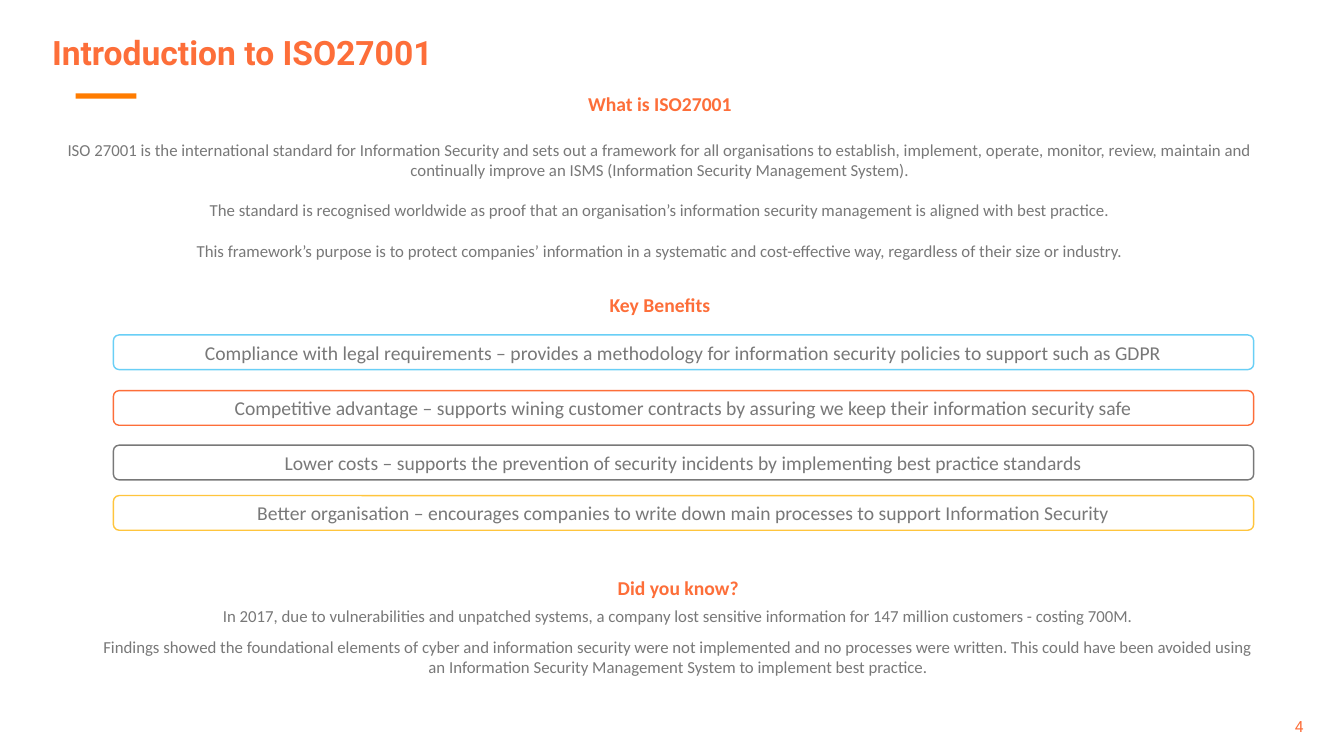
import dataclasses

import pptx
import pptx.dml.color
import pptx.enum.shapes
import pptx.enum.text
import pptx.util

PX = 9525  # EMU in one px, 96 px to the inch
ALIGN = pptx.enum.text.PP_ALIGN
ANCHOR = pptx.enum.text.MSO_ANCHOR
SHAPE = pptx.enum.shapes.MSO_SHAPE


@dataclasses.dataclass(frozen=True)
class Theme:
    orange: str = "FD6E39"
    accent: str = "FF7C00"
    grey: str = "787878"
    blue: str = "69CFF6"
    yellow: str = "FFC53D"
    white: str = "FFFFFF"
    title_font: str = "Roboto"
    body_font: str = "Calibri"
    title_size: int = 24
    heading_size: int = 14
    body_size: int = 12
    number_size: int = 11


def color(code):
    return pptx.dml.color.RGBColor.from_string(code)


def emu(*lengths):
    return [length * PX for length in lengths]


class SlideBuilder:
    def __init__(self, presentation, theme):
        self.theme = theme
        self.slide = presentation.slides.add_slide(presentation.slide_layouts[5])

    def add_text(self, paragraph, text, size, code, font=None, bold=False, align=ALIGN.CENTER):
        paragraph.alignment = align
        run = paragraph.add_run()
        run.text = text
        run.font.name = font or self.theme.body_font
        run.font.size = pptx.util.Pt(size)
        run.font.bold = bold
        run.font.color.rgb = color(code)

    def title(self, text, *box):
        shape = self.slide.shapes.title
        shape.left, shape.top, shape.width, shape.height = emu(*box)
        frame = shape.text_frame
        frame.auto_size = pptx.enum.text.MSO_AUTO_SIZE.NONE
        frame.vertical_anchor = ANCHOR.BOTTOM
        paragraph = frame.paragraphs[0]
        paragraph.line_spacing = 0.9
        self.add_text(paragraph, text, self.theme.title_size, self.theme.orange,
                      self.theme.title_font, True, ALIGN.LEFT)

    def text_box(self, *box):
        frame = self.slide.shapes.add_textbox(*emu(*box)).text_frame
        frame.word_wrap = True
        return frame

    def section(self, heading, body, box, gaps=(), after=0):
        """Add a centred heading and body paragraphs, with the gap in points before each."""
        frame = self.text_box(*box)
        self.add_text(frame.paragraphs[0], heading, self.theme.heading_size,
                      self.theme.orange, bold=True)
        for text, gap in zip(body, gaps):
            paragraph = frame.add_paragraph()
            paragraph.space_before = pptx.util.Pt(gap)
            paragraph.space_after = pptx.util.Pt(after)
            self.add_text(paragraph, text, self.theme.body_size, self.theme.grey)

    def shape(self, kind, fill, *box):
        shape = self.slide.shapes.add_shape(kind, *emu(*box))
        shape.shadow.inherit = False
        shape.fill.solid()
        shape.fill.fore_color.rgb = color(fill)
        shape.line.fill.background()
        return shape

    def benefit(self, text, outline, *box):
        shape = self.shape(SHAPE.ROUNDED_RECTANGLE, self.theme.white, *box)
        shape.line.color.rgb = color(outline)
        shape.line.width = pptx.util.Pt(1)
        frame = shape.text_frame
        frame.word_wrap = True
        frame.vertical_anchor = ANCHOR.MIDDLE
        self.add_text(frame.paragraphs[0], text, self.theme.heading_size, self.theme.grey)

    def page_number(self, text, *box):
        frame = self.text_box(*box)
        frame.vertical_anchor = ANCHOR.MIDDLE
        self.add_text(frame.paragraphs[0], text, self.theme.number_size,
                      self.theme.orange, self.theme.title_font, align=ALIGN.RIGHT)


def main():
    presentation = pptx.Presentation()
    presentation.slide_width, presentation.slide_height = emu(1280, 720)
    theme = Theme()
    builder = SlideBuilder(presentation, theme)

    builder.shape(SHAPE.RECTANGLE, theme.accent, 72, 89, 58, 5)
    builder.title("Introduction to ISO27001", 40, 26, 762, 48)
    builder.page_number("4", 1170, 673, 81, 38)

    builder.section("What is ISO27001", [
        "ISO 27001 is the international standard for Information Security and sets out "
        "a framework for all organisations to establish, implement, operate, monitor, "
        "review, maintain and continually improve an ISMS (Information Security "
        "Management System).",
        "The standard is recognised worldwide as proof that an organisation’s "
        "information security management is aligned with best practice.",
        "This framework’s purpose is to protect companies’ information in a systematic "
        "and cost-effective way, regardless of their size or industry.",
    ], (23, 83, 1211, 175), gaps=(17, 14.6, 14.6))

    builder.section("Key Benefits", [], (23, 274, 1211, 59))
    benefits = [
        (319, theme.blue, "Compliance with legal requirements – provides a methodology "
         "for information security policies to support such as GDPR"),
        (372, theme.orange, "Competitive advantage – supports wining customer contracts "
         "by assuring we keep their information security safe"),
        (424, theme.grey, "Lower costs – supports the prevention of security incidents "
         "by implementing best practice standards"),
        (472, theme.yellow, "Better organisation – encourages companies to write down "
         "main processes to support Information Security"),
    ]
    for top, outline, text in benefits:
        builder.benefit(text, outline, 108, top, 1086, 33)

    builder.section("Did you know?", [
        "In 2017, due to vulnerabilities and unpatched systems, a company lost sensitive "
        "information for 147 million customers - costing 700M.",
        "Findings showed the foundational elements of cyber and information security were "
        "not implemented and no processes were written. This could have been avoided using "
        "an Information Security Management System to implement best practice.",
    ], (81, 544, 1130, 141), gaps=(4, 4), after=4)

    presentation.save("out.pptx")


if __name__ == "__main__":
    main()
